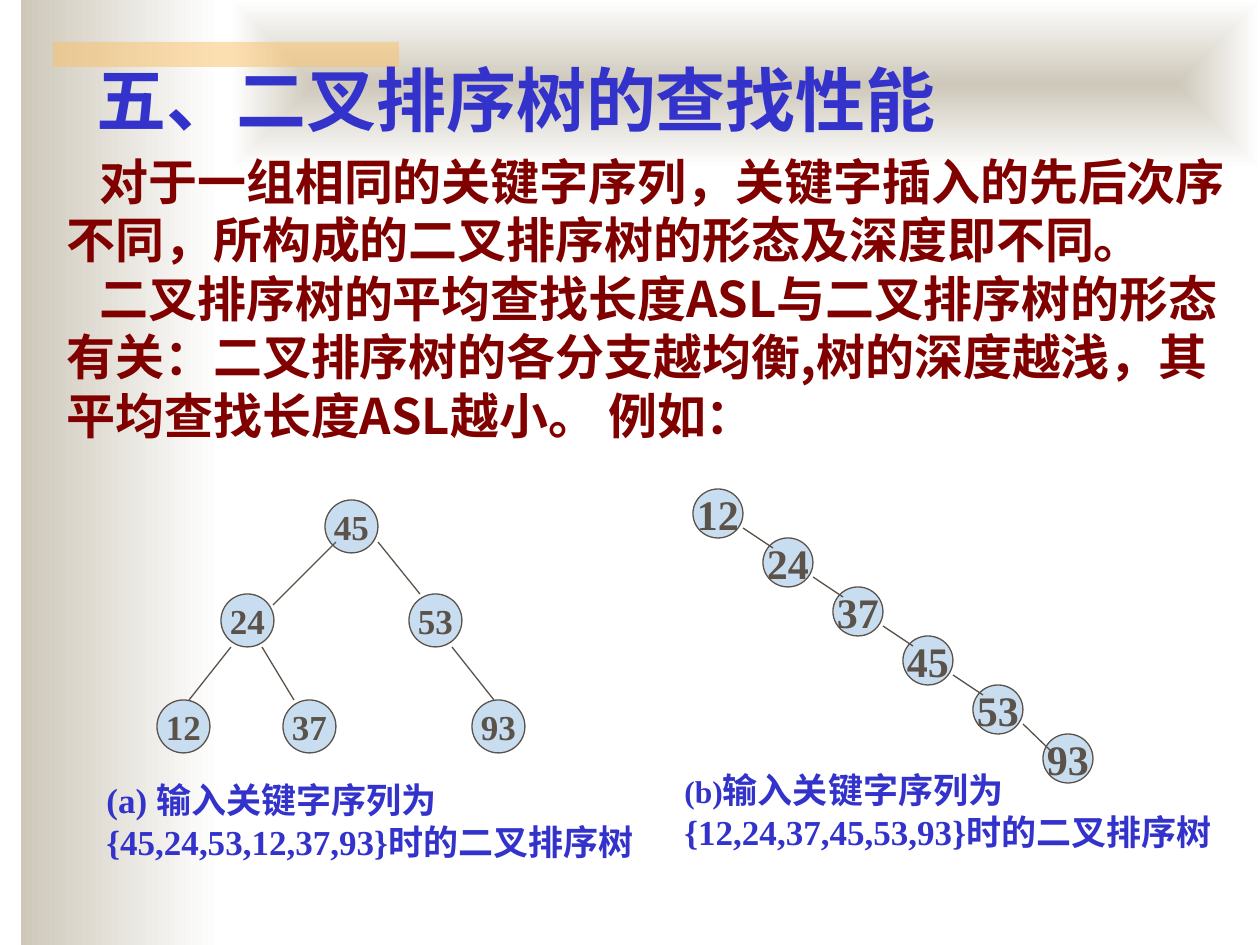
from pptx import Presentation
from pptx.dml.color import RGBColor
from pptx.enum.shapes import MSO_CONNECTOR, MSO_SHAPE
from pptx.enum.text import MSO_ANCHOR, MSO_AUTO_SIZE, PP_ALIGN
from pptx.oxml import parse_xml
from pptx.oxml.ns import nsdecls, qn
from pptx.util import Emu, Pt

SCALE = 914400 / 126
SERIF, SANS = "Times New Roman", "Noto Sans CJK SC"
WHITE = RGBColor(0xFF, 0xFF, 0xFF)
SAND = RGBColor(0xCE, 0xC8, 0xBA)
GOLD = RGBColor(0xFA, 0xC1, 0x64)
BLUE = RGBColor(0x33, 0x33, 0xCC)
MAROON = RGBColor(0x80, 0x00, 0x00)
SKY = RGBColor(0xC9, 0xDD, 0xF1)
BROWN = RGBColor(0x5B, 0x52, 0x49)

TITLE = "五、二叉排序树的查找性能"
BODY = [
    "对于一组相同的关键字序列，关键字插入的先后次序不同，所构成的二叉排序树的形态及深度即不同。",
    "二叉排序树的平均查找长度ASL与二叉排序树的形态有关：二叉排序树的各分支越均衡,"
    "树的深度越浅，其平均查找长度ASL越小。 例如：",
]

# Balanced tree: key, left, top; then its branches
NODES = [(45, 325, 500), (24, 221, 594), (12, 157, 700),
         (37, 283, 700), (53, 409, 594), (93, 472, 700)]
EDGES = [(336, 542, 273, 605), (231, 647, 189, 700), (262, 647, 294, 700),
         (378, 542, 420, 594), (452, 647, 494, 700)]
CHAIN = [12, 24, 37, 45, 53, 93]


def px(*nums):
    return [Emu(round(n * SCALE)) for n in nums]


def set_font(para, size, color, name=SERIF):
    font = para.font
    font.name, font.size, font.bold = name, Pt(size), True
    font.color.rgb = color


def add_bar(slide, box):
    bar = slide.shapes.add_shape(MSO_SHAPE.RECTANGLE, *px(*box))
    bar.shadow.inherit = False
    bar.line.fill.background()
    return bar


def add_fade(slide, box, centre=False):
    bar = add_bar(slide, box)
    bar.fill.gradient()
    bar.fill.gradient_angle = 0
    for stop, color, spot in zip(bar.fill.gradient_stops, (SAND, WHITE), (0, 1)):
        stop.color.rgb, stop.position = color, spot
    if centre:
        line = bar.element.spPr.find(".//" + qn("a:lin"))
        line.getparent().replace(line, parse_xml(
            f'<a:path {nsdecls("a")} path="shape">'
            '<a:fillToRect l="50000" t="50000" r="50000" b="50000"/></a:path>'))


def add_strip(slide, box):
    bar = add_bar(slide, box)
    bar.fill.solid()
    bar.fill.fore_color.rgb = GOLD
    color = bar.element.spPr.find(qn("a:solidFill"))[0]
    color.append(parse_xml(f'<a:alpha {nsdecls("a")} val="50000"/>'))


def add_title(slide):
    title = slide.shapes.title
    title.left, title.top, title.width, title.height = px(84, 32, 1071, 115)
    frame = title.text_frame
    frame.text = TITLE
    frame.auto_size = MSO_AUTO_SIZE.NONE
    frame.vertical_anchor = MSO_ANCHOR.BOTTOM
    para = frame.paragraphs[0]
    para.alignment = PP_ALIGN.LEFT
    set_font(para, 40, BLUE)
    # Bring the title in front of the bars
    title.element.getparent().append(title.element)


def add_frame(slide, box):
    frame = slide.shapes.add_textbox(*px(*box)).text_frame
    frame.word_wrap = True
    frame.auto_size = MSO_AUTO_SIZE.SHAPE_TO_FIT_TEXT
    return frame


def add_body(slide):
    frame = add_frame(slide, (54, 145, 1201, 307))
    frame.text = "\n".join(BODY)
    for para in frame.paragraphs:
        para.line_spacing = Pt(33.5)
        para._p.get_or_add_pPr().set("indent", str(px(33)[0]))
        set_font(para, 28, MAROON, SANS)


def add_label(slide, box, parts):
    para = add_frame(slide, box).paragraphs[0]
    para.line_spacing = Pt(24)
    set_font(para, 20, BLUE)
    for text, size in parts:
        run = para.add_run()
        run.text, run.font.size = text, Pt(size)


def add_node(slide, key, box, size):
    node = slide.shapes.add_shape(MSO_SHAPE.OVAL, *px(*box))
    node.shadow.inherit = False
    node.fill.solid()
    node.fill.fore_color.rgb = SKY
    node.line.color.rgb, node.line.width = BROWN, Pt(0.75)
    frame = node.text_frame
    frame.text = str(key)
    frame.word_wrap = False
    frame.vertical_anchor = MSO_ANCHOR.MIDDLE
    para = frame.paragraphs[0]
    para.alignment = PP_ALIGN.CENTER
    set_font(para, size, BROWN)


def add_edge(slide, ends):
    edge = slide.shapes.add_connector(MSO_CONNECTOR.STRAIGHT, *px(*ends))
    edge.line.color.rgb, edge.line.width = BROWN, Pt(0.75)
    edge.element.spPr.append(parse_xml(f'<a:effectLst {nsdecls("a")}/>'))


def add_tree(slide):
    for key, left, top in NODES:
        add_node(slide, key, (left, top, 53, 53), 20)
    for ends in EDGES:
        add_edge(slide, ends)
    add_label(slide, (94, 772, 567, 97),
              [("(a) 输入关键字序列为{45,24,53,12,37,93}时的二叉排序树", 20)])


def add_chain(slide):
    spots = [(693 + 70 * i, 489 + 49 * i) for i in range(len(CHAIN))]
    for key, (left, top) in zip(CHAIN, spots):
        add_node(slide, key, (left, top, 50, 49), 24)
    for left, top in spots[:-1]:
        drop = 29 if (left, top) == spots[-2] else 20
        add_edge(slide, (left + 50, top + 39, left + 80, top + 39 + drop))
    add_label(slide, (672, 762, 557, 97),
              [("(b)", 18), ("输入关键字序列为{12,24,37,45,53,93}时的二叉排序树", 20)])


def main():
    deck = Presentation()
    deck.slide_width, deck.slide_height = px(1260, 945)
    slide = deck.slides.add_slide(deck.slide_layouts[5])
    # Backdrop
    add_fade(slide, (21, 0, 199, 945))
    add_fade(slide, (231, 0, 1029, 168), centre=True)
    add_strip(slide, (53, 42, 346, 25))
    # Text
    add_title(slide)
    add_body(slide)
    # Search trees
    add_tree(slide)
    add_chain(slide)
    deck.save("out.pptx")


if __name__ == "__main__":
    main()
